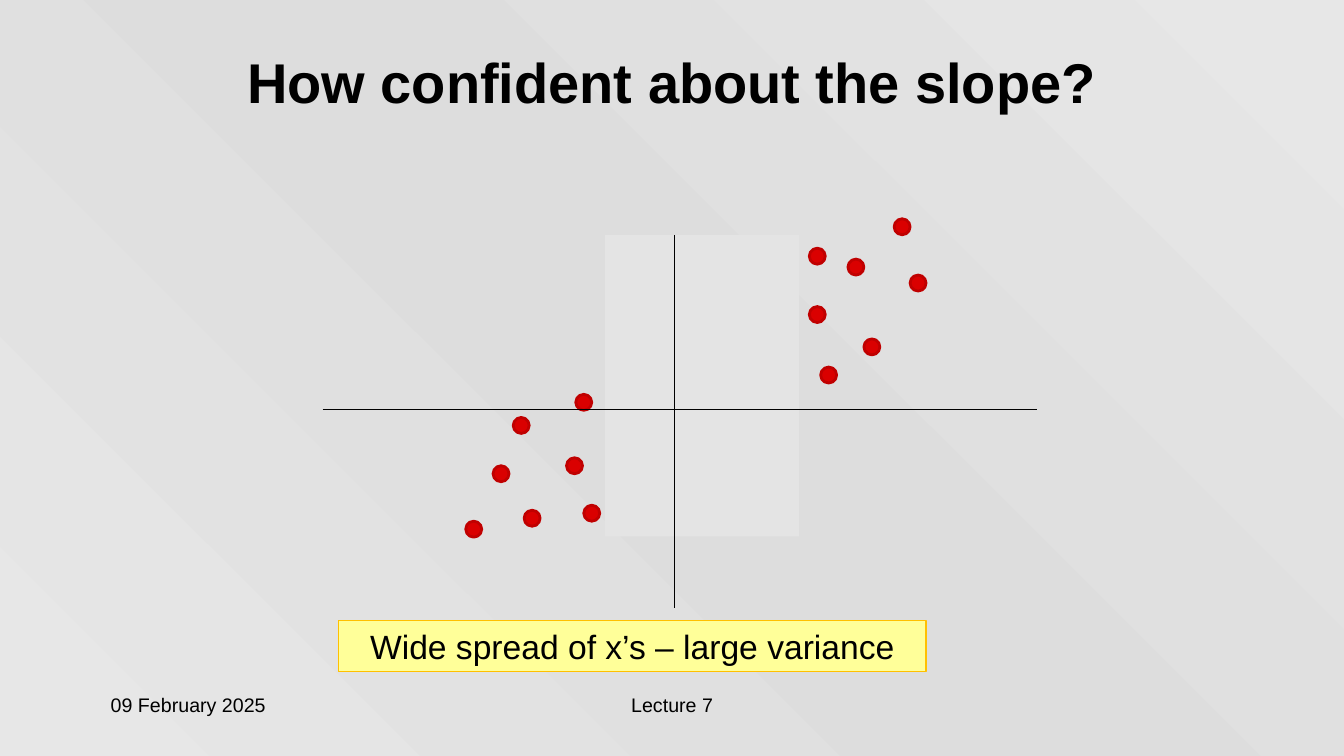
from copy import deepcopy
from dataclasses import dataclass

from lxml import etree
from pptx import Presentation
from pptx import util as u
from pptx.dml.color import RGBColor
from pptx.enum import shapes, text
from pptx.oxml.ns import qn

COLUMNS, ROWS = 32, 18
DOT_SIZE = 0.38
FONT = "Arial"
BLACK = "000000"

deck = Presentation()
deck.slide_width, deck.slide_height = u.Inches(13.33), u.Inches(7.5)
page = deck.slides.add_slide(deck.slide_layouts[6])


@dataclass
class Area:
    left: float
    top: float
    width: float
    height: float


@dataclass
class Label:
    words: str
    area: Area
    size: int
    align: text.PP_ALIGN = text.PP_ALIGN.CENTER
    anchor: text.MSO_ANCHOR = text.MSO_ANCHOR.TOP
    bold: bool = False


@dataclass
class Axis:
    start: tuple[float, float]
    end: tuple[float, float]


def across(columns: float) -> int:
    return round(columns * deck.slide_width / COLUMNS)


def down(rows: float) -> int:
    return round(rows * deck.slide_height / ROWS)


def place(area: Area) -> tuple[int, int, int, int]:
    return across(area.left), down(area.top), across(area.width), down(area.height)


def colour(value: str) -> RGBColor:
    return RGBColor.from_string(value)


def write(box, label: Label) -> None:
    frame = box.text_frame
    frame.word_wrap = True
    frame.vertical_anchor = label.anchor
    para = frame.paragraphs[0]
    para.alignment = label.align
    span = para.add_run()
    span.text = label.words
    span.font.name, span.font.size = FONT, u.Pt(label.size)
    span.font.bold = label.bold
    span.font.color.rgb = colour(BLACK)


def draw_label(label: Label) -> None:
    write(page.shapes.add_textbox(*place(label.area)), label)


def draw_shape(kind, area: Area, fill: str, line: str = "", weight: float = 0):
    shape = page.shapes.add_shape(kind, *place(area))
    shape.shadow.inherit = False
    shape.fill.solid()
    shape.fill.fore_color.rgb = colour(fill)
    if line:
        shape.line.color.rgb = colour(line)
        shape.line.width = u.Pt(weight)
    else:
        shape.line.fill.background()
    return shape


def draw_dot(column: float, row: float) -> None:
    area = Area(column - DOT_SIZE / 2, row - DOT_SIZE / 2, DOT_SIZE, DOT_SIZE)
    draw_shape(shapes.MSO_SHAPE.OVAL, area, "DA0000", "C00000", 2)


def draw_axis(axis: Axis) -> None:
    line = page.shapes.add_connector(
        shapes.MSO_CONNECTOR.STRAIGHT,
        across(axis.start[0]), down(axis.start[1]),
        across(axis.end[0]), down(axis.end[1]))
    line.line.color.rgb = colour(BLACK)
    line.line.width = u.Pt(0.25)
    etree.SubElement(line._element.spPr, qn("a:effectLst"))


# Background: darker along the diagonal
fill = page.background.fill
fill.gradient()
fill.gradient_angle = 45
stop_list = page.element.find(".//" + qn("a:gsLst"))
stop_list.insert(1, deepcopy(stop_list[0]))
for stop, position, shade in zip(fill.gradient_stops, (0, 0.5, 1),
                                 ("E7E7E7", "DDDDDD", "E7E7E7")):
    stop.position = position
    stop.color.rgb = colour(shade)

# Title and footer
for label in (
    Label("How confident about the slope?", Area(0.62, 0.72, 30.74, 2.42), 40,
          anchor=text.MSO_ANCHOR.MIDDLE, bold=True),
    Label("09 February 2025", Area(2.4, 16.39, 6.67, 1.2), 14,
          align=text.PP_ALIGN.LEFT),
    Label("Lecture 7", Area(10.94, 16.39, 10.13, 1.2), 14),
):
    draw_label(label)

# Data points, as column and row of each centre
UPPER_CLUSTER = [(19.46, 7.49), (19.73, 8.93), (20.38, 6.36), (20.76, 8.26),
                 (21.86, 6.74), (21.48, 5.4), (19.46, 6.1)]
LOWER_CLUSTER = [(13.9, 9.58), (13.68, 11.09), (11.93, 11.28), (12.67, 12.34),
                 (12.41, 10.13), (11.28, 12.6), (14.09, 12.22)]
for centre in UPPER_CLUSTER + LOWER_CLUSTER:
    draw_dot(*centre)

# Empty band between the clusters, and the axes
draw_shape(shapes.MSO_SHAPE.RECTANGLE, Area(14.4, 5.59, 4.63, 7.18), "E4E4E4")
for axis in (Axis((16.06, 5.59), (16.06, 14.47)),
             Axis((7.68, 9.74), (24.7, 9.74))):
    draw_axis(axis)

# Caption
caption = Label("Wide spread of x’s – large variance",
                Area(8.06, 14.78, 13.99, 1.2), 24)
write(draw_shape(shapes.MSO_SHAPE.RECTANGLE, caption.area,
                 "FFFF99", "FFC000", 0.75), caption)

deck.save("out.pptx")
